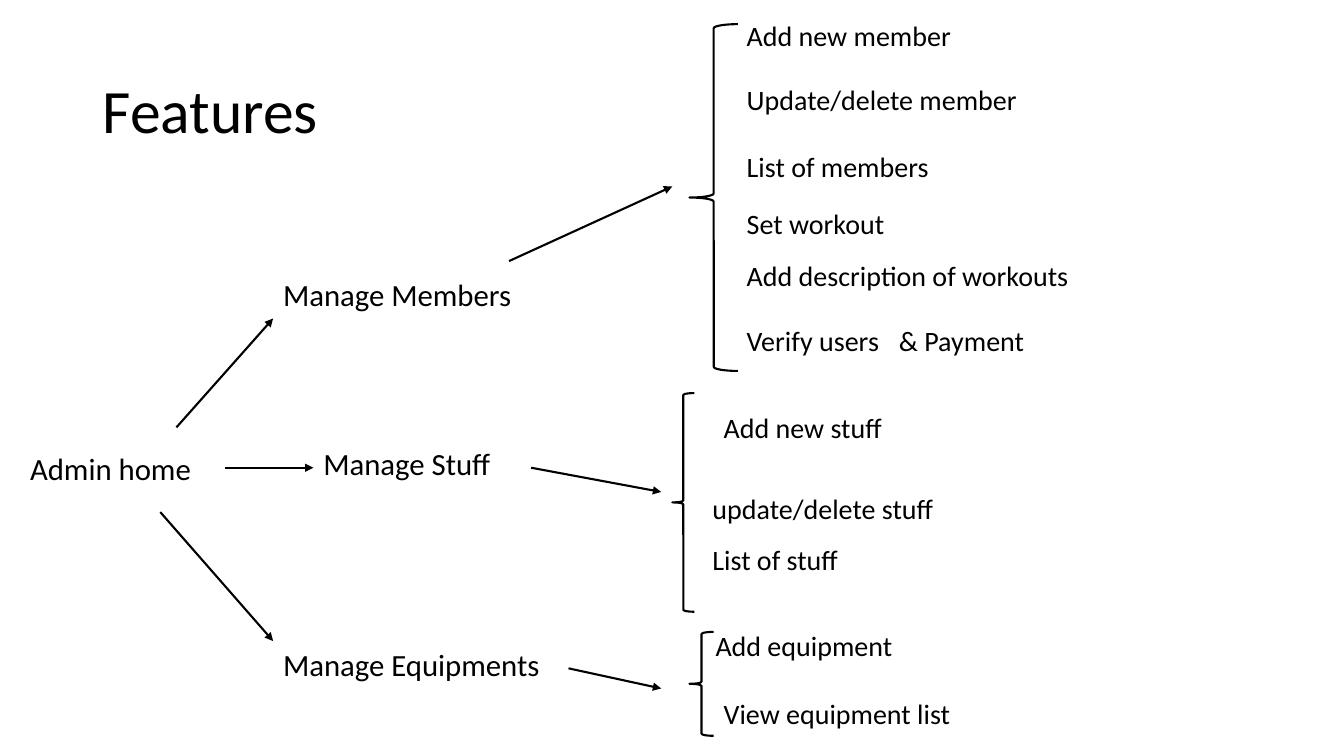
from dataclasses import dataclass

from lxml import etree
from pptx import Presentation
from pptx.dml.color import RGBColor
from pptx.enum import shapes, text
from pptx.oxml.ns import qn
from pptx.util import Pt


@dataclass(frozen=True)
class Theme:
    font: str = "Calibri"
    ink: RGBColor = RGBColor(0, 0, 0)
    title_size: float = 44
    branch_size: float = 22
    feature_size: float = 20
    line_width: float = 1.5


@dataclass(frozen=True)
class Label:
    wording: str
    left: float
    top: float
    width: float


@dataclass(frozen=True)
class Arrow:
    start: tuple[float, float]
    end: tuple[float, float]


@dataclass(frozen=True)
class Brace:
    left: float
    top: float
    width: float
    height: float


THEME = Theme()

# Admin home and its three branches
BRANCHES = [
    Label("Admin home", 14.4, 317.5, 132.5),
    Label("Manage Members", 195.1, 193.7, 228.2),
    Label("Manage Stuff", 223.9, 313.9, 228.2),
    Label("Manage Equipments", 195.1, 457.9, 228.2),
]

# Features of each branch
MEMBER_LEFT = 526.3
FEATURES = [
    Label("Add new member", MEMBER_LEFT, 9.4, 228.2),
    Label("Update/delete member", MEMBER_LEFT, 55.4, 228.2),
    Label("List of members", MEMBER_LEFT, 103, 228.2),
    Label("Set workout", MEMBER_LEFT, 144, 228.2),
    Label("Add description of workouts", MEMBER_LEFT, 181.4, 277.2),
    Label("Verify users", MEMBER_LEFT, 227.5, 277.2),
    Label("& Payment", 635, 227.5, 277.2),
    Label("Add new stuff", 509.8, 289.4, 277.2),
    Label("update/delete stuff", 501.8, 347.8, 277.2),
    Label("List of stuff", 501.8, 383.8, 277.2),
    Label("Add equipment", 504, 445.7, 277.2),
    Label("View equipment list", 509.8, 493.9, 277.2),
]

ARROWS = [
    Arrow((126, 305.3), (195.1, 227.5)),
    Arrow((160.6, 334.1), (223.9, 334.1)),
    Arrow((114.5, 365.8), (195.1, 457.9)),
    Arrow((363.6, 186.5), (480.2, 133.2)),
    Arrow((379.4, 334.1), (472.3, 351.4)),
    Arrow((406.1, 477.4), (472.3, 491.8)),
]

BRACES = [
    Brace(492.5, 17.3, 34.6, 247.7),
    Brace(480.2, 280.8, 15.8, 156.2),
    Brace(492.5, 451.4, 17.3, 74.2),
]


def style_paragraph(paragraph, size: float) -> None:
    paragraph.alignment = text.PP_ALIGN.LEFT
    paragraph.font.name = THEME.font
    paragraph.font.size = Pt(size)
    paragraph.font.color.rgb = THEME.ink


def style_line(line) -> None:
    line.color.rgb = THEME.ink
    line.width = Pt(THEME.line_width)


def set_title(slide, wording: str) -> None:
    title = slide.shapes.title
    title.left, title.top = Pt(66.2), Pt(28.8)
    title.width, title.height = Pt(828), Pt(104.4)
    frame = title.text_frame
    frame.text = wording
    frame.vertical_anchor = text.MSO_ANCHOR.MIDDLE
    frame.auto_size = text.MSO_AUTO_SIZE.NONE
    frame.paragraphs[0].line_spacing = 0.9
    style_paragraph(frame.paragraphs[0], THEME.title_size)


def add_label(slide, label: Label, size: float) -> None:
    height = size * 1.2 + 7.4
    box = slide.shapes.add_textbox(
        Pt(label.left), Pt(label.top), Pt(label.width), Pt(height))
    frame = box.text_frame
    frame.word_wrap = True
    frame.auto_size = text.MSO_AUTO_SIZE.SHAPE_TO_FIT_TEXT
    frame.text = label.wording
    style_paragraph(frame.paragraphs[0], size)


def add_arrow(slide, arrow: Arrow) -> None:
    connector = slide.shapes.add_connector(
        shapes.MSO_CONNECTOR.STRAIGHT,
        *(Pt(value) for value in arrow.start + arrow.end))
    style_line(connector.line)
    properties = connector._element.spPr
    etree.SubElement(properties.find(qn("a:ln")), qn("a:tailEnd"), type="triangle")
    etree.SubElement(properties, qn("a:effectLst"))


def add_brace(slide, brace: Brace) -> None:
    shape = slide.shapes.add_shape(
        shapes.MSO_SHAPE.LEFT_BRACE,
        Pt(brace.left), Pt(brace.top), Pt(brace.width), Pt(brace.height))
    shape.shadow.inherit = False
    shape.fill.background()
    style_line(shape.line)


def main() -> None:
    presentation = Presentation()
    presentation.slide_width, presentation.slide_height = Pt(960), Pt(540)
    title_only = presentation.slide_layouts.get_by_name("Title Only")
    slide = presentation.slides.add_slide(title_only)

    set_title(slide, "Features")
    for label in BRANCHES:
        add_label(slide, label, THEME.branch_size)
    for label in FEATURES:
        add_label(slide, label, THEME.feature_size)
    for brace in BRACES:
        add_brace(slide, brace)
    for arrow in ARROWS:
        add_arrow(slide, arrow)

    presentation.save("out.pptx")


if __name__ == "__main__":
    main()
